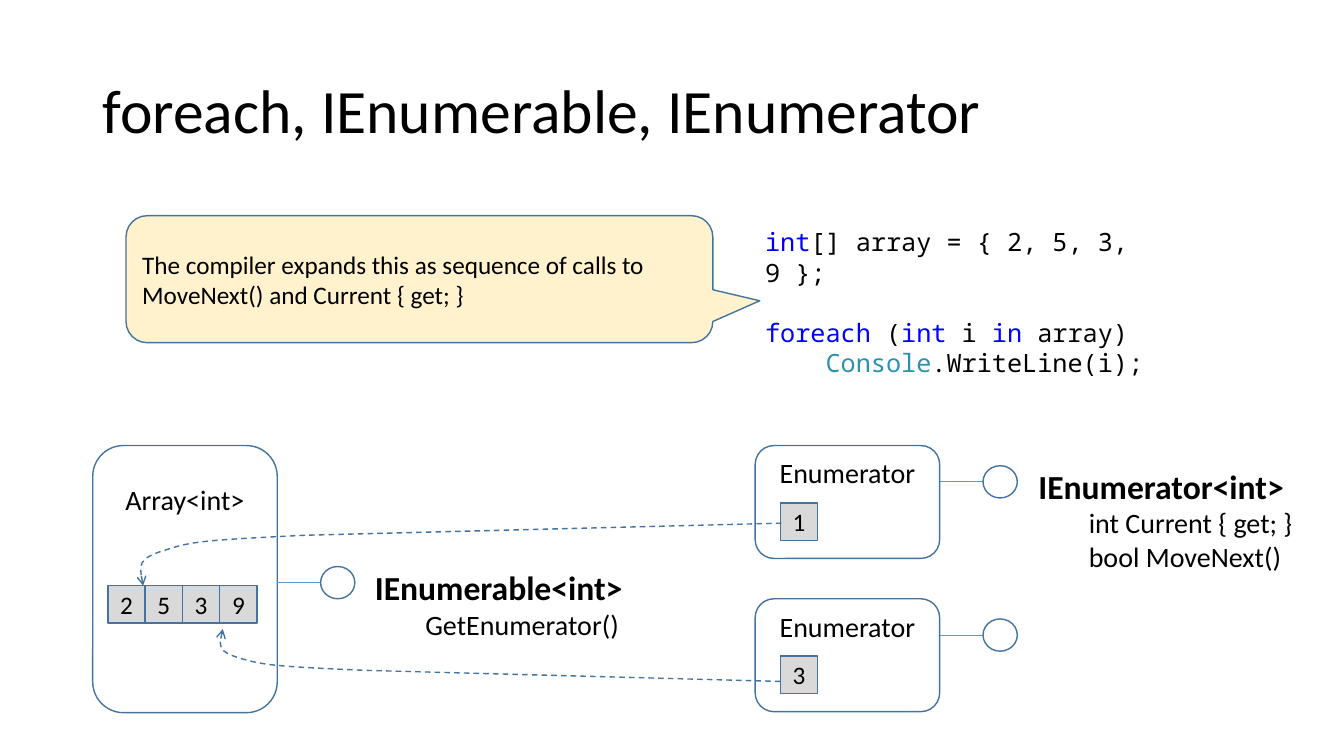
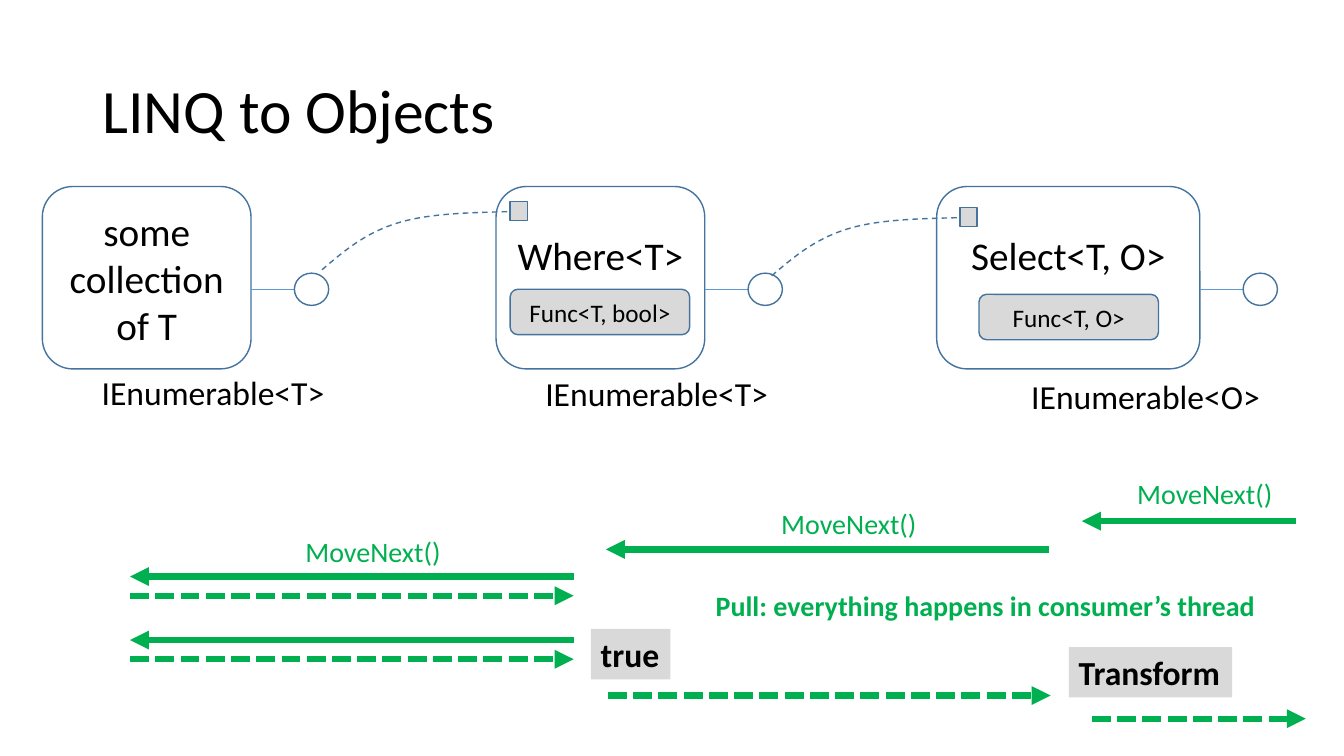
from pptx import Presentation
from pptx.dml.color import RGBColor
from pptx.enum.dml import MSO_LINE
from pptx.enum.shapes import MSO_CONNECTOR, MSO_SHAPE
from pptx.enum.text import MSO_ANCHOR, MSO_AUTO_SIZE, PP_ALIGN
from pptx.oxml.ns import qn
from pptx.util import Inches, Pt
from lxml.etree import SubElement

# Shared style
BLACK = RGBColor(0x00, 0x00, 0x00)
WHITE = RGBColor(0xFF, 0xFF, 0xFF)
GRAY = RGBColor(0xD9, 0xD9, 0xD9)
CREAM = RGBColor(0xFF, 0xF2, 0xCC)
OUTLINE = RGBColor(0x43, 0x73, 0x9E)
STEM_BLUE = RGBColor(0x5B, 0x9B, 0xD5)
GREEN = RGBColor(0x00, 0xB0, 0x50)
KEYWORD = RGBColor(0x00, 0x00, 0xFF)
TYPE_NAME = RGBColor(0x2B, 0x91, 0xAF)
BODY_FONT, CODE_FONT = "Calibri", "Noto Sans Mono"
RECT, ROUND = MSO_SHAPE.RECTANGLE, MSO_SHAPE.ROUNDED_RECTANGLE
STEM, RING = 0.43, (0.34, 0.32)
CELL, MARKER = 0.37, (0.17, 0.19)

# Slide 1: enumerators over an array
ARRAY_BOX = (0.92, 4.42, 1.83, 2.65)
ARRAY_VALUES = ["2", "5", "3", "9"]
ARRAY_CELLS = (1.07, 5.81)
ENUMERATORS = [(4.42, "1"), (5.94, "3")]  # top, current value
ENUMERATOR_LEFT, ENUMERATOR_SIZE = 7.49, (1.83, 1.12)
INTERFACES = [
    ((3.62, 5.58, 2.77, 0.84), "IEnumerable<int>", ["GetEnumerator()"]),
    ((10.2, 4.57, 2.75, 1.18), "IEnumerator<int>",
     ["int Current { get; }", "bool MoveNext()"]),
]
# Each path: start, straight points, then three points for every curve
POINTERS = [
    ((7.75, 5.19), [(3.03, 5.31)],
     [(2.01, 5.36), (1.9, 5.37), (1.63, 5.46),
      (1.36, 5.54), (1.39, 5.67), (1.42, 5.81)]),
    ((7.74, 6.76), [(3.61, 6.65)],
     [(2.72, 6.61), (2.62, 6.6), (2.38, 6.53),
      (2.15, 6.46), (2.18, 6.35), (2.21, 6.24)]),
]
CALLOUT = "The compiler expands this as sequence of calls to MoveNext() and Current { get; }"
# Each line: space before, indent, runs
CODE = [
    (0, 0, [("int", KEYWORD), ("[] array = { 2, 5, 3, 9 };", BLACK)]),
    (21.5, 0, [("foreach", KEYWORD), (" (", BLACK), ("int ", KEYWORD),
               ("i ", BLACK), ("in", KEYWORD), (" array)", BLACK)]),
    (0, 0.6, [("Console", TYPE_NAME), (".WriteLine(i);", BLACK)]),
]

# Slide 2: operators in a chain, and the calls between them
STAGE_TOP, STAGE_HEIGHT = 1.85, 1.81
STAGES = [  # left, width, name, interface, interface place
    (0.42, 2.07, "some collection of T", "IEnumerable<T>", (0.91, 3.64, 2.44, 0.5)),
    (4.92, 2.07, "Where<T>", "IEnumerable<T>", (5.31, 3.65, 2.44, 0.5)),
    (9.29, 2.61, "Select<T, O>", "IEnumerable<O>", (10.13, 3.68, 2.5, 0.5)),
]
FUNCTIONS = [(5.06, 2.87, "Func<T, bool>"), (9.71, 2.92, "Func<T, O>")]
SOURCES = [(5.06, 2.0), (9.52, 2.06)]
SOURCE_CURVE = [(-0.43, 0.11), (-0.84, 0.12), (-1.14, 0.22),
                (-1.45, 0.32), (-1.66, 0.5), (-1.87, 0.68)]
CALLS = [  # from x, to x, y
    (12.85, 10.73, 5.17), (10.4, 6.01, 5.45), (5.69, 1.29, 5.72), (5.69, 1.29, 6.35)]
RETURNS = [
    (1.29, 5.69, 5.91), (1.29, 5.69, 6.54), (6.03, 10.42, 6.9), (10.83, 12.95, 7.13)]
CALL_LABELS = [(11.18, 4.68), (7.65, 4.98), (2.93, 5.25)]
RESULTS = [("true", (5.86, 6.24, 0.79, 0.5)), ("Transform", (10.6, 6.42, 1.62, 0.5))]
THREAD_NOTE = "Pull: everything happens in consumer\u2019s thread"


# Helpers
def style_paragraph(paragraph, size, color=BLACK, bold=False, font=BODY_FONT, indent=0):
    paragraph.font.size = Pt(size)
    paragraph.font.name = font
    paragraph.font.bold = bold
    paragraph.font.color.rgb = color
    if indent:
        properties = paragraph._p.get_or_add_pPr()
        properties.set("marL", str(Inches(indent)))
        properties.set("indent", "0")


def add_box(slide, kind, place, text="", size=18, fill=WHITE,
            align=PP_ALIGN.CENTER, top_inset=None):
    shape = slide.shapes.add_shape(kind, *map(Inches, place))
    shape.shadow.inherit = False
    shape.fill.solid()
    shape.fill.fore_color.rgb = fill
    shape.line.color.rgb = OUTLINE
    shape.line.width = Pt(1)
    if text:
        frame = shape.text_frame
        frame.word_wrap = True
        frame.vertical_anchor = MSO_ANCHOR.MIDDLE
        if top_inset is not None:
            frame.vertical_anchor = MSO_ANCHOR.TOP
            frame.margin_top = Inches(top_inset)
        paragraph = frame.paragraphs[0]
        paragraph.text = text
        paragraph.alignment = align
        style_paragraph(paragraph, size)
    return shape


def add_cell(slide, left, top, value):
    shape = add_box(slide, RECT, (left, top, CELL, CELL), value, fill=GRAY)
    frame = shape.text_frame
    frame.margin_left = frame.margin_right = 0


def add_label(slide, place, text, size, color=BLACK, bold=False, fill=None):
    shape = slide.shapes.add_textbox(*map(Inches, place))
    frame = shape.text_frame
    frame.word_wrap = False
    frame.auto_size = MSO_AUTO_SIZE.SHAPE_TO_FIT_TEXT
    frame.text = text
    style_paragraph(frame.paragraphs[0], size, color, bold)
    if fill is not None:
        shape.fill.solid()
        shape.fill.fore_color.rgb = fill
    return frame


def add_arrowhead(shape, kind):
    SubElement(shape.element.spPr.find(qn("a:ln")), qn("a:tailEnd"), type=kind)


def add_line(slide, start, end, color, width, dash=None, head=None):
    line = slide.shapes.add_connector(MSO_CONNECTOR.STRAIGHT, *map(Inches, start + end))
    line.line.color.rgb = color
    line.line.width = Pt(width)
    if dash:
        line.line.dash_style = dash
    if head:
        add_arrowhead(line, head)
    SubElement(line.element.spPr, qn("a:effectLst"))


def add_curve(slide, start, straight, curved, head=None):
    points = [tuple(map(Inches, point)) for point in straight + curved]
    builder = slide.shapes.build_freeform(*map(Inches, start))
    builder.add_line_segments(points, close=False)
    shape = builder.convert_to_shape()
    shape.shadow.inherit = False
    shape.fill.background()
    shape.line.color.rgb = OUTLINE
    shape.line.width = Pt(1)
    shape.line.dash_style = MSO_LINE.DASH
    if head:
        add_arrowhead(shape, head)
    # Every three points after the straight part become one Bezier segment
    outline = next(shape.element.iter(qn("a:path")))
    segments = outline.findall(qn("a:lnTo"))[len(straight):]
    for first in range(0, len(segments), 3):
        bezier = SubElement(outline, qn("a:cubicBezTo"))
        for segment in segments[first:first + 3]:
            bezier.append(segment[0])
            outline.remove(segment)


def add_lollipop(slide, left, y):
    width, height = RING
    add_line(slide, (left, y), (left + STEM, y), STEM_BLUE, 0.5)
    add_box(slide, MSO_SHAPE.OVAL, (left + STEM, y - height / 2, width, height))


def add_titled_slide(presentation, title):
    slide = presentation.slides.add_slide(presentation.slide_layouts[6])
    shape = slide.shapes.add_textbox(*map(Inches, (0.92, 0.4, 11.5, 1.45)))
    frame = shape.text_frame
    frame.word_wrap = True
    frame.vertical_anchor = MSO_ANCHOR.MIDDLE
    frame.text = title
    frame.paragraphs[0].line_spacing = 0.9
    style_paragraph(frame.paragraphs[0], 44)
    return slide


def build_foreach_slide(presentation):
    slide = add_titled_slide(presentation, "foreach, IEnumerable, IEnumerator")

    # Array and its cells
    left, top, width, height = ARRAY_BOX
    add_box(slide, ROUND, ARRAY_BOX, "Array<int>", 20, top_inset=0.28)
    add_lollipop(slide, left + width, top + 1.36)
    cells_left, cells_top = ARRAY_CELLS
    for index, value in enumerate(ARRAY_VALUES):
        add_cell(slide, cells_left + index * CELL, cells_top, value)

    # Enumerators and their pointers into the array
    for top, value in ENUMERATORS:
        add_box(slide, ROUND, (ENUMERATOR_LEFT, top) + ENUMERATOR_SIZE,
                "Enumerator", 20, top_inset=0.05)
        add_lollipop(slide, ENUMERATOR_LEFT + ENUMERATOR_SIZE[0], top + 0.36)
        add_cell(slide, ENUMERATOR_LEFT + 0.25, top + 0.57, value)
    for start, straight, curved in POINTERS:
        add_curve(slide, start, straight, curved, "arrow")

    # Interface names with members
    for place, name, members in INTERFACES:
        frame = add_label(slide, place, name, 24, bold=True)
        for member in members:
            paragraph = frame.add_paragraph()
            paragraph.text = member
            style_paragraph(paragraph, 20, indent=0.5)

    # Code and callout
    frame = slide.shapes.add_textbox(*map(Inches, (7.49, 2.2, 4.3, 1.31))).text_frame
    frame.word_wrap = True
    for index, (space, indent, runs) in enumerate(CODE):
        paragraph = frame.add_paragraph() if index else frame.paragraphs[0]
        paragraph.space_before = Pt(space)
        style_paragraph(paragraph, 18, font=CODE_FONT, indent=indent)
        for text, color in runs:
            run = paragraph.add_run()
            run.text = text
            run.font.color.rgb = color
    callout = add_box(slide, MSO_SHAPE.ROUNDED_RECTANGULAR_CALLOUT, (1.25, 2.14, 5.82, 1.26),
                      CALLOUT, fill=CREAM, align=PP_ALIGN.LEFT)
    callout.adjustments[0] = 0.58
    callout.adjustments[1] = 0.17


def build_linq_slide(presentation):
    slide = add_titled_slide(presentation, "LINQ to Objects")

    # Stages
    for index, (left, width, name, interface, place) in enumerate(STAGES):
        add_box(slide, ROUND, (left, STAGE_TOP, width, STAGE_HEIGHT), name, 28,
                top_inset=0.36 if index else None)
        add_lollipop(slide, left + width, STAGE_TOP + 1.02)
        add_label(slide, place, interface, 24)
    for left, top, text in FUNCTIONS:
        add_box(slide, ROUND, (left, top, 1.78, 0.45), text, fill=GRAY)

    # Links back to the previous stage
    for left, top in SOURCES:
        add_box(slide, RECT, (left, top) + MARKER, fill=GRAY)
        x, y = left - 0.03, top + 0.1
        # Offsets are measured from the marker's edge
        curve = [(left + dx, top + dy + 0.0) for dx, dy in
                 [(dx, dy) for dx, dy in SOURCE_CURVE]]
        add_curve(slide, (x, y), [], curve)

    # Calls and returns
    for start, end, y in CALLS:
        add_line(slide, (start, y), (end, y), GREEN, 4.5, head="triangle")
    for start, end, y in RETURNS:
        add_line(slide, (start, y), (end, y), GREEN, 4.5, MSO_LINE.SQUARE_DOT, "triangle")
    for left, top in CALL_LABELS:
        add_label(slide, (left, top, 1.56, 0.44), "MoveNext()", 20, GREEN)
    for text, place in RESULTS:
        add_label(slide, place, text, 24, bold=True, fill=GRAY)
    add_label(slide, (7, 5.79, 5.6, 0.44), THREAD_NOTE, 20, GREEN, bold=True)


presentation = Presentation()
presentation.slide_width, presentation.slide_height = Inches(13.33), Inches(7.5)
build_foreach_slide(presentation)
build_linq_slide(presentation)
presentation.save("out.pptx")
